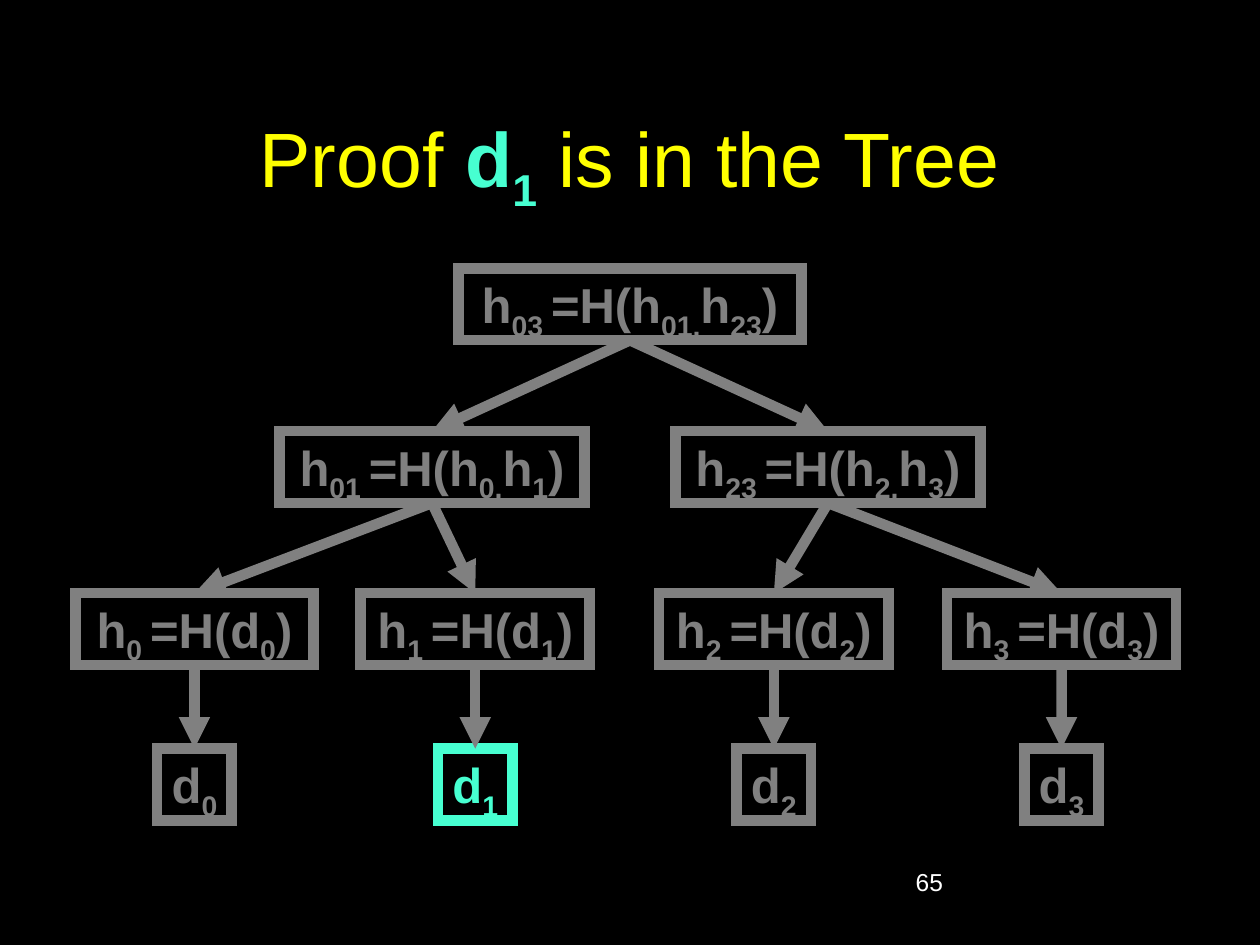
from dataclasses import dataclass

from lxml import etree
from pptx import Presentation
from pptx.dml.color import RGBColor
from pptx.enum import shapes, text
from pptx.oxml import ns
from pptx.util import Cm, Pt


@dataclass(frozen=True)
class Theme:
    background: RGBColor = RGBColor(0x00, 0x00, 0x00)
    title: RGBColor = RGBColor(0xFF, 0xFF, 0x00)
    muted: RGBColor = RGBColor(0x80, 0x80, 0x80)
    accent: RGBColor = RGBColor(0x47, 0xFF, 0xD1)
    number: RGBColor = RGBColor(0xFF, 0xFF, 0xFF)
    font: str = "Arial"
    title_size: Pt = Pt(44)
    node_size: Pt = Pt(28)
    number_size: Pt = Pt(14)
    stroke: Pt = Pt(6)


THEME = Theme()


def add_runs(paragraph, marked, size, color, bold=False):
    """Add runs; every second piece between underscores is a subscript."""
    for index, piece in enumerate(marked.split("_")):
        if not piece:
            continue
        run = paragraph.add_run()
        run.text = piece
        for name, value in {"name": THEME.font, "size": size, "bold": bold}.items():
            setattr(run.font, name, value)
        run.font.color.rgb = color
        if index % 2:
            run.font._element.set("baseline", "-25000")


def add_node(marked, center, top, width, color=THEME.muted):
    node = slide.shapes.add_shape(
        shapes.MSO_SHAPE.RECTANGLE, Cm(center - width / 2), Cm(top), Cm(width), Cm(NODE_HEIGHT)
    )
    node.shadow.inherit = False
    node.fill.solid()
    node.fill.fore_color.rgb = THEME.background
    node.line.color.rgb = color
    node.line.width = THEME.stroke
    etree.SubElement(node.line._get_or_add_ln(), ns.qn("a:miter"), lim="800000")
    frame = node.text_frame
    frame_format = {
        "word_wrap": False,
        "auto_size": text.MSO_AUTO_SIZE.NONE,
        "vertical_anchor": text.MSO_ANCHOR.TOP,
        "margin_top": Cm(0.13),
        "margin_bottom": 0,
    }
    for name, value in frame_format.items():
        setattr(frame, name, value)
    frame.paragraphs[0].alignment = text.PP_ALIGN.CENTER
    add_runs(frame.paragraphs[0], marked, THEME.node_size, color, bold=True)
    return node


NODE_HEIGHT = 1.45
ROOT_TOP, BRANCH_TOP, LEAF_TOP, DATA_TOP = 5.41, 8.69, 11.96, 15.09
PROVEN = 1

deck = Presentation()
deck.slide_width, deck.slide_height = Cm(25.4), Cm(19.05)
slide = deck.slides.add_slide(deck.slide_layouts[6])
slide.background.fill.solid()
slide.background.fill.fore_color.rgb = THEME.background

# Title and page number
title = slide.shapes.add_textbox(Cm(1.9), Cm(1.7), Cm(21.59), Cm(3.18)).text_frame
title.word_wrap = True
title.vertical_anchor = text.MSO_ANCHOR.MIDDLE
heading = title.paragraphs[0]
heading.alignment = text.PP_ALIGN.CENTER
add_runs(heading, "Proof ", THEME.title_size, THEME.title)
add_runs(heading, "d_1", THEME.title_size, THEME.accent, bold=True)
add_runs(heading, " is in the Tree", THEME.title_size, THEME.title)

page = slide.shapes.add_textbox(Cm(18.21), Cm(17.35), Cm(5.28), Cm(1.27)).text_frame
page.word_wrap = True
add_runs(page.paragraphs[0], "65", THEME.number_size, THEME.number)

# Hash tree, from the root down to the data blocks
root = add_node("h_03 _=H(h_01,_h_23_)", 12.7, ROOT_TOP, 6.91)
branches = [
    add_node(f"h_{a}{b} _=H(h_{a},_h_{b}_)", center, BRANCH_TOP, 6.15)
    for a, b, center in ((0, 1, 8.71), (2, 3, 16.69))
]
edges = [(root, branch) for branch in branches]
for i, (center, width) in enumerate(((3.92, 4.8), (9.58, 4.62), (15.6, 4.62), (21.4, 4.62))):
    leaf = add_node(f"h_{i} _=H(d_{i}_)", center, LEAF_TOP, width)
    color = THEME.accent if i == PROVEN else THEME.muted
    data = add_node(f"d_{i}", center, DATA_TOP, 1.5, color)
    edges += [(branches[i // 2], leaf), (leaf, data)]

for parent, child in edges:
    arrow = slide.shapes.add_connector(shapes.MSO_CONNECTOR.STRAIGHT, 0, 0, 0, 0)
    arrow.begin_connect(parent, 2)
    arrow.end_connect(child, 0)
    arrow.line.color.rgb = THEME.muted
    arrow.line.width = THEME.stroke
    etree.SubElement(arrow.line._get_or_add_ln(), ns.qn("a:tailEnd"), type="triangle")
    etree.SubElement(arrow._element.spPr, ns.qn("a:effectLst"))

deck.save("out.pptx")
